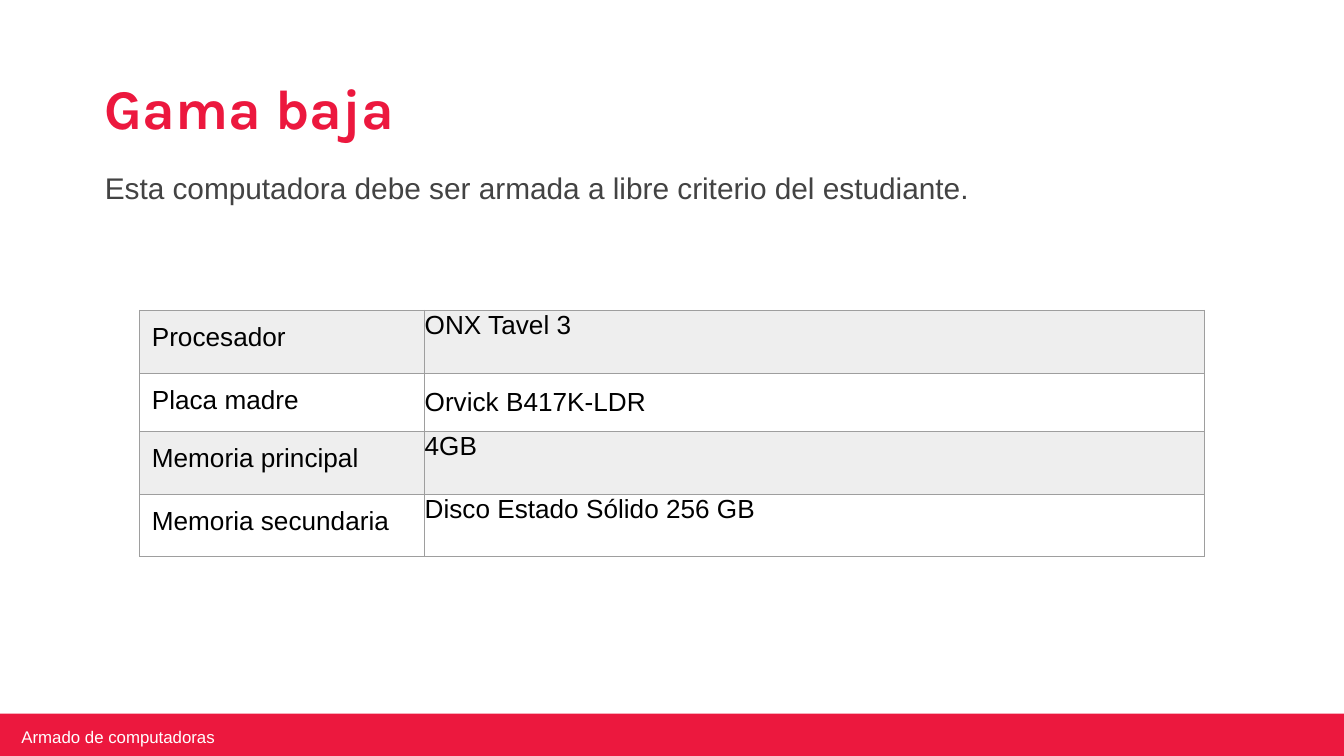
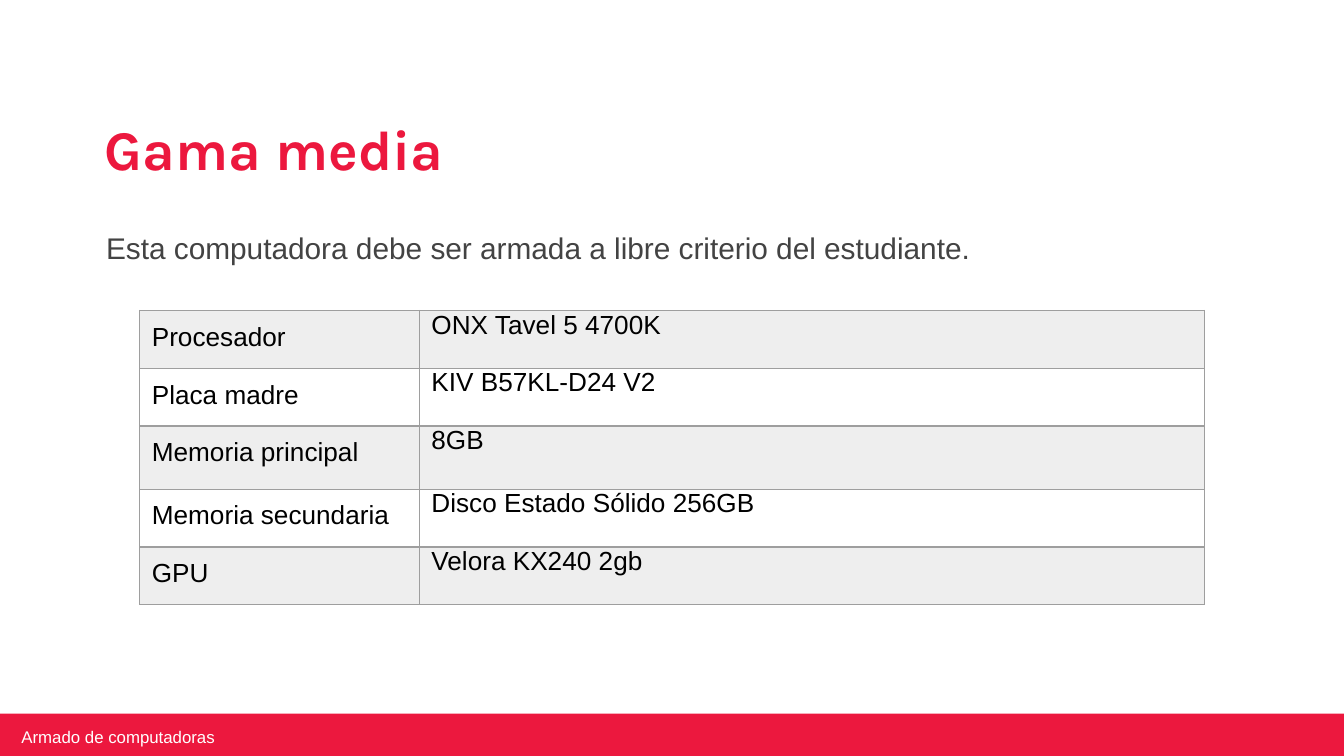
from dataclasses import dataclass

from lxml.etree import SubElement
from pptx import Presentation
from pptx.dml.color import RGBColor
from pptx.enum.shapes import MSO_SHAPE
from pptx.enum.text import MSO_ANCHOR as Anchor, MSO_AUTO_SIZE as AutoSize, PP_ALIGN as Align
from pptx.oxml.ns import qn
from pptx.util import Inches, Pt

COLORS = {
    "red": "EC183E",
    "white": "FFFFFF",
    "black": "000000",
    "body": "434343",
    "stripe": "EEEEEE",
    "border": "9E9E9E",
}
WIDTH = 10
HEIGHT = WIDTH * 9 / 16
BAND_TOP = 5.31
TABLE_LEFT, TABLE_TOP, TABLE_WIDTH = 1.04, 2.31, 7.92
CELL_INSET = 0.09
TITLE_ONLY = 5


@dataclass(frozen=True)
class Box:
    left: float
    top: float
    width: float
    height: float

    def lengths(self) -> tuple:
        return tuple(Inches(v) for v in (self.left, self.top, self.width, self.height))


@dataclass(frozen=True)
class Component:
    label: str
    choice: str
    height: float = 0.43
    anchor: Anchor = Anchor.TOP


@dataclass(frozen=True)
class Tier:
    title: str
    title_box: Box
    intro_box: Box
    label_width: float
    choice_inset: float
    components: tuple


FOOTER_BOX = Box(0.15, 5.39, 1.56, 0.2)
FOOTER = "Armado de computadoras"
INTRO = "Esta computadora debe ser armada a libre criterio del estudiante."

TIERS = (
    Tier(
        "Gama baja", Box(0.77, 0.54, 4.61, 0.52), Box(0.77, 1.25, 6.82, 0.28), 2.12, 0,
        (
            Component("Procesador", "ONX Tavel 3", 0.47),
            Component("Placa madre", "Orvick B417K-LDR", anchor=Anchor.MIDDLE),
            Component("Memoria principal", "4GB", 0.47),
            Component("Memoria secundaria", "Disco Estado Sólido 256 GB", 0.46),
        ),
    ),
    Tier(
        "Gama media", Box(0.77, 0.84, 3.24, 0.52), Box(0.78, 1.7, 6.82, 0.29), 2.08, CELL_INSET,
        (
            Component("Procesador", "ONX Tavel 5 4700K"),
            Component("Placa madre", "KIV B57KL-D24 V2"),
            Component("Memoria principal", "8GB", 0.47),
            Component("Memoria secundaria", "Disco Estado Sólido 256GB"),
            Component("GPU", "Velora KX240 2gb"),
        ),
    ),
)


def rgb(name: str) -> RGBColor:
    return RGBColor.from_string(COLORS[name])


def write(frame, text: str, *, size: float, color: str, font: str = "Arial", bold: bool = False,
          left: float = 0.01, top: float = 0.01) -> None:
    frame.word_wrap = True
    frame.margin_left, frame.margin_top = Inches(left), Inches(top)
    frame.margin_right = frame.margin_bottom = 0
    paragraph = frame.paragraphs[0]
    paragraph.alignment = Align.LEFT
    run = paragraph.add_run()
    run.text = text
    run.font.name = font
    run.font.size = Pt(size)
    run.font.bold = bold
    run.font.color.rgb = rgb(color)


def add_text(slide, box: Box, text: str, **style) -> None:
    frame = slide.shapes.add_textbox(*box.lengths()).text_frame
    write(frame, text, **style)
    frame.auto_size = AutoSize.SHAPE_TO_FIT_TEXT


def add_title(slide, tier: Tier) -> None:
    title = slide.shapes.title
    title.left, title.top, title.width, title.height = tier.title_box.lengths()
    frame = title.text_frame
    frame.vertical_anchor = Anchor.TOP
    write(frame, tier.title, size=30, color="red", font="Karla", bold=True)
    frame.auto_size = AutoSize.SHAPE_TO_FIT_TEXT


def add_footer(slide) -> None:
    band = slide.shapes.add_shape(
        MSO_SHAPE.RECTANGLE, *Box(0, BAND_TOP, WIDTH, HEIGHT - BAND_TOP).lengths())
    band.shadow.inherit = False
    band.fill.solid()
    band.fill.fore_color.rgb = rgb("red")
    band.line.fill.background()
    add_text(slide, FOOTER_BOX, FOOTER, size=9, color="white", top=0.02)


def add_borders(cell) -> None:
    properties = cell._tc.get_or_add_tcPr()
    for side in ("lnL", "lnR", "lnT", "lnB"):
        line = SubElement(properties, qn(f"a:{side}"), w=str(Pt(0.75)))
        fill = SubElement(line, qn("a:solidFill"))
        SubElement(fill, qn("a:srgbClr"), val=COLORS["border"])


def fill_cell(cell, text: str, *, striped: bool, left: float, top: float, anchor: Anchor) -> None:
    write(cell.text_frame, text, size=14, color="black")
    cell.margin_left, cell.margin_top = Inches(left), Inches(top)
    cell.margin_right = cell.margin_bottom = 0
    cell.vertical_anchor = anchor
    add_borders(cell)
    if striped:
        cell.fill.solid()
        cell.fill.fore_color.rgb = rgb("stripe")
    else:
        cell.fill.background()


def add_components(slide, tier: Tier) -> None:
    height = sum(component.height for component in tier.components)
    box = Box(TABLE_LEFT, TABLE_TOP, TABLE_WIDTH, height)
    table = slide.shapes.add_table(len(tier.components), 2, *box.lengths()).table
    table.first_row = table.horz_banding = False
    table.columns[0].width = Inches(tier.label_width)
    table.columns[1].width = Inches(TABLE_WIDTH - tier.label_width)
    for index, component in enumerate(tier.components):
        table.rows[index].height = Inches(component.height)
        striped = index % 2 == 0
        fill_cell(table.cell(index, 0), component.label, striped=striped,
                  left=CELL_INSET, top=CELL_INSET, anchor=Anchor.TOP)
        fill_cell(table.cell(index, 1), component.choice, striped=striped,
                  left=tier.choice_inset, top=0, anchor=component.anchor)


def add_tier(deck, tier: Tier) -> None:
    slide = deck.slides.add_slide(deck.slide_layouts[TITLE_ONLY])
    slide.background.fill.solid()
    slide.background.fill.fore_color.rgb = rgb("white")
    add_title(slide, tier)
    add_footer(slide)
    add_components(slide, tier)
    add_text(slide, tier.intro_box, INTRO, size=16, color="body")


def main() -> None:
    deck = Presentation()
    deck.slide_width, deck.slide_height = Inches(WIDTH), Inches(HEIGHT)
    for tier in TIERS:
        add_tier(deck, tier)
    deck.save("out.pptx")


if __name__ == "__main__":
    main()
